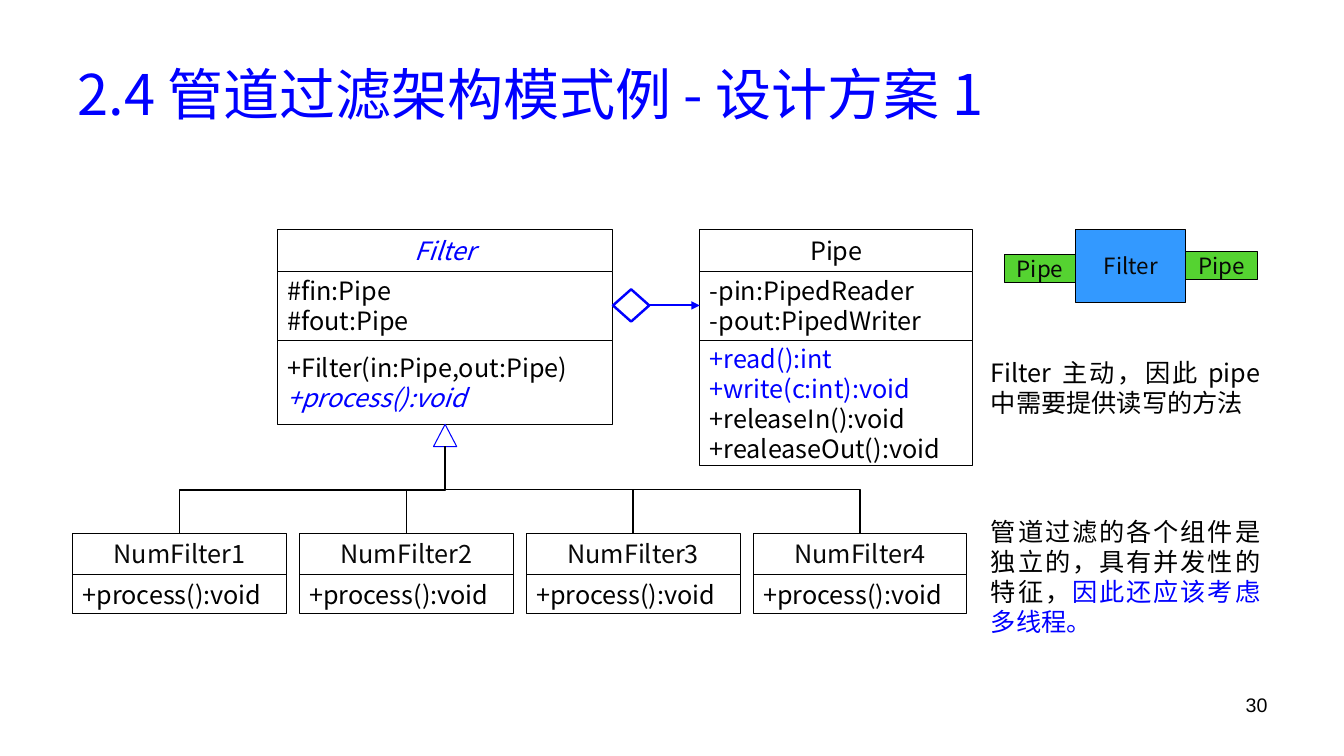
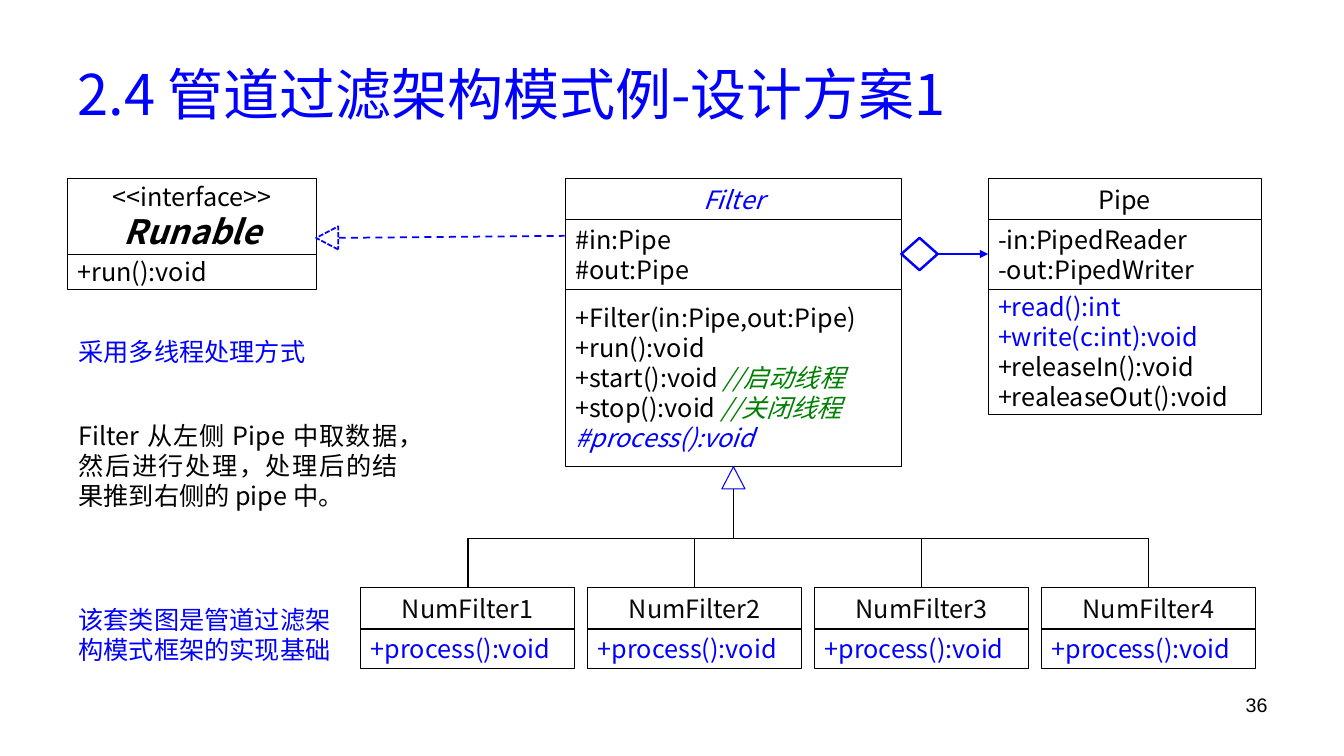
from dataclasses import dataclass

from lxml import etree
from pptx import Presentation
from pptx.dml.color import RGBColor
from pptx.enum.dml import MSO_LINE
from pptx.enum.shapes import MSO_CONNECTOR, MSO_SHAPE
from pptx.enum.text import MSO_ANCHOR, PP_ALIGN
from pptx.oxml.ns import qn
from pptx.util import Inches, Pt

LEFT, MID = PP_ALIGN.LEFT, PP_ALIGN.CENTER
RIGHT, EVEN = PP_ALIGN.RIGHT, PP_ALIGN.JUSTIFY
TOP, CORE = MSO_ANCHOR.TOP, MSO_ANCHOR.MIDDLE
RECT, PEAK = MSO_SHAPE.RECTANGLE, MSO_SHAPE.ISOSCELES_TRIANGLE
GEM = MSO_SHAPE.FLOWCHART_DECISION
LINE, BENT = MSO_CONNECTOR.STRAIGHT, MSO_CONNECTOR.ELBOW
DASH, DOTS = MSO_LINE.DASH, MSO_LINE.SQUARE_DOT


@dataclass(frozen=True)
class Theme:
    font: str = "Noto Sans CJK SC"
    plain: str = "Arial"
    black: str = "000000"
    ink: str = "080808"
    white: str = "FFFFFF"
    blue: str = "0000FF"
    green: str = "008000"
    sky: str = "3399FF"
    grass: str = "55D331"
    title: int = 40
    large: int = 24
    body: int = 18
    small: int = 16
    foot: int = 14
    lead: float = 1.19


T = Theme()
HEAD = 0.41
KID_W = 2.12
KID_STEP = 2.25
FILTER_W = 3.33
PIPE_W = 2.71
TIP_W, TIP_H = 0.23, 0.22


def rgb(code):
    return RGBColor.from_string(code)


def write(shape, paras, align=LEFT, anchor=TOP, **base):
    frame = shape.text_frame
    frame.word_wrap = True
    frame.vertical_anchor = anchor
    for i, runs in enumerate(paras):
        para = frame.add_paragraph() if i else frame.paragraphs[0]
        para.alignment = align
        for part in runs if isinstance(runs, list) else [runs]:
            text, own = part if isinstance(part, tuple) else (part, {})
            fmt = {"size": T.body, "color": T.black, "face": T.font, **base, **own}
            run = para.add_run()
            run.text = text
            font = run.font
            font.size = Pt(fmt["size"])
            font.bold = fmt.get("bold", False)
            font.italic = fmt.get("italic", False)
            font.color.rgb = rgb(fmt["color"])
            font.name = fmt["face"]
            east = etree.SubElement(run._r.get_or_add_rPr(), qn("a:ea"))
            east.set("typeface", fmt["face"])
        para.line_spacing = Pt(fmt["size"] * T.lead)


def note(slide, x, y, w, h, paras, **fmt):
    box = slide.shapes.add_textbox(Inches(x), Inches(y), Inches(w), Inches(h))
    write(box, paras, **fmt)


def draw(home, kind, x, y, w, h, fill=T.white, edge=T.black, width=0.75):
    shape = home.shapes.add_shape(kind, Inches(x), Inches(y), Inches(w), Inches(h))
    shape.shadow.inherit = False
    shape.fill.solid()
    shape.fill.fore_color.rgb = rgb(fill)
    shape.line.color.rgb = rgb(edge)
    shape.line.width = Pt(width)
    return shape


def block(home, x, y, w, h, paras, fill=T.white, **fmt):
    write(draw(home, RECT, x, y, w, h, fill), paras, anchor=CORE, **fmt)


def link(slide, kind, x1, y1, x2, y2, color, width):
    line = slide.shapes.add_connector(
        kind, Inches(x1), Inches(y1), Inches(x2), Inches(y2))
    line.line.color.rgb = rgb(color)
    line.line.width = Pt(width)
    etree.SubElement(line._element.spPr, qn("a:effectLst"))
    return line


def branch(slide, x, y, tip_x, tip_y):
    mid_x, mid_y = (x + tip_x) / 2, (y + tip_y) / 2
    run, rise = (tip_x - x) / 2, (y - tip_y) / 2
    line = link(slide, BENT, mid_x - rise, mid_y - run,
                mid_x + rise, mid_y + run, T.black, 1)
    line._element.spPr.find(qn("a:xfrm")).set("rot", "16200000")


def stack(slide, x, y, w, name, parts, **fmt):
    block(slide, x, y, w, HEAD, [name], align=MID, **fmt)
    y += HEAD
    for high, paras in parts:
        block(slide, x, y, w, high, paras)
        y += high


def owns(slide, x, y, end):
    draw(slide, GEM, x, y - 0.16, 0.36, 0.32, edge=T.blue, width=1.75)
    line = link(slide, LINE, x + 0.36, y, end, y, T.blue, 1.5)
    tail = etree.SubElement(line.line._get_or_add_ln(), qn("a:tailEnd"))
    tail.set("type", "triangle")


def model(slide, x, y, fields, calls, high, ports, kid_y, color):
    stack(slide, x, y, FILTER_W, "Filter", [(0.69, fields), (high, calls)],
          color=T.blue, italic=True)
    pipe_x = x + 4.19
    stack(slide, pipe_x, y, PIPE_W, "Pipe", [
        (0.69, ports),
        (1.24, [blue("+read():int"), blue("+write(c:int):void"),
                "+releaseIn():void", "+realeaseOut():void"]),
    ])
    owns(slide, x + FILTER_W, y + 0.75, pipe_x)
    tip_x, tip_y = x + FILTER_W / 2, y + HEAD + 0.69 + high
    draw(slide, PEAK, tip_x - TIP_W / 2, tip_y, TIP_W, TIP_H, edge=T.blue)
    for i in range(4):
        kid_x = x - 2.03 + i * KID_STEP
        stack(slide, kid_x, kid_y, KID_W, f"NumFilter{i + 1}",
              [(0.39, [("+process():void", {"color": color})])], color=T.ink)
        branch(slide, kid_x + KID_W / 2, kid_y, tip_x, tip_y + TIP_H)


def blue(text, **fmt):
    return text, {"color": T.blue, **fmt}


def green(text):
    return text, {"color": T.green, "italic": True}


def start(deck, title, page):
    slide = deck.slides.add_slide(deck.slide_layouts[5])
    head = slide.shapes.title
    head.left, head.top = Inches(0.67), Inches(0.3)
    head.width, head.height = Inches(12), Inches(1.25)
    write(head, [title], anchor=CORE, size=T.title, color=T.blue)
    note(slide, 9.56, 6.83, 3.11, 0.52, [page], align=RIGHT,
         size=T.foot, face=T.plain)
    return slide


def flow(slide):
    group = slide.shapes.add_group_shape()
    for x, y, w, h, name, fill in [
        (10.67, 2.28, 1.09, 0.72, "Filter", T.sky),
        (9.96, 2.53, 0.71, 0.27, "Pipe", T.grass),
        (11.76, 2.5, 0.71, 0.27, "Pipe", T.grass),
    ]:
        block(group, x, y, w, h, [name], fill, align=MID,
              size=T.small, color=T.ink)


def basic(deck):
    slide = start(deck, "2.4 管道过滤架构模式例 - 设计方案 1", "30")
    model(slide, 2.75, 2.28, ["#fin:Pipe", "#fout:Pipe"],
          ["+Filter(in:Pipe,out:Pipe)", blue("+process():void", italic=True)],
          0.83, ["-pin:PipedReader", "-pout:PipedWriter"], 5.29, T.black)
    flow(slide)
    note(slide, 9.73, 3.5, 2.87, 0.71,
         ["Filter 主动，因此 pipe 中需要提供读写的方法"], align=EVEN)
    note(slide, 9.73, 5.08, 2.87, 1.31,
         [["管道过滤的各个组件是独立的，具有并发性的特征，",
           blue("因此还应该考虑多线程。")]], align=EVEN)


def threads(deck):
    slide = start(deck, "2.4 管道过滤架构模式例-设计方案1", "36")
    model(slide, 5.61, 1.77, ["#in:Pipe", "#out:Pipe"], [
        "+Filter(in:Pipe,out:Pipe)",
        "+run():void",
        ["+start():void ", green("//启动线程")],
        ["+stop():void ", green("//关闭线程")],
        blue("#process():void", italic=True),
    ], 1.76, ["-in:PipedReader", "-out:PipedWriter"], 5.83, T.blue)
    block(slide, 0.67, 1.77, 2.47, 0.76, [
        "<<interface>>",
        ("Runable", {"size": T.large, "bold": True, "italic": True}),
    ], align=MID)
    block(slide, 0.67, 2.52, 2.47, 0.35, ["+run():void"])
    tip = draw(slide, PEAK, 3.13, 2.25, TIP_W, TIP_H, edge=T.blue, width=1.25)
    tip.rotation = 270
    tip.line.dash_style = DOTS
    link(slide, LINE, 3.36, 2.36, 5.6, 2.34, T.blue, 1.25).line.dash_style = DASH
    note(slide, 0.68, 3.29, 3.69, 0.4, ["采用多线程处理方式"], color=T.blue)
    note(slide, 0.68, 4.12, 3.37, 1.01,
         ["Filter 从左侧 Pipe 中取数据，然后进行处理，处理后的结果推到右侧的 pipe 中。"],
         align=EVEN)
    note(slide, 0.68, 5.95, 2.83, 0.71,
         ["该套类图是管道过滤架构模式框架的实现基础"], color=T.blue)


def main():
    deck = Presentation()
    deck.slide_width, deck.slide_height = Inches(13.33), Inches(7.5)
    basic(deck)
    threads(deck)
    deck.save("out.pptx")


if __name__ == "__main__":
    main()
